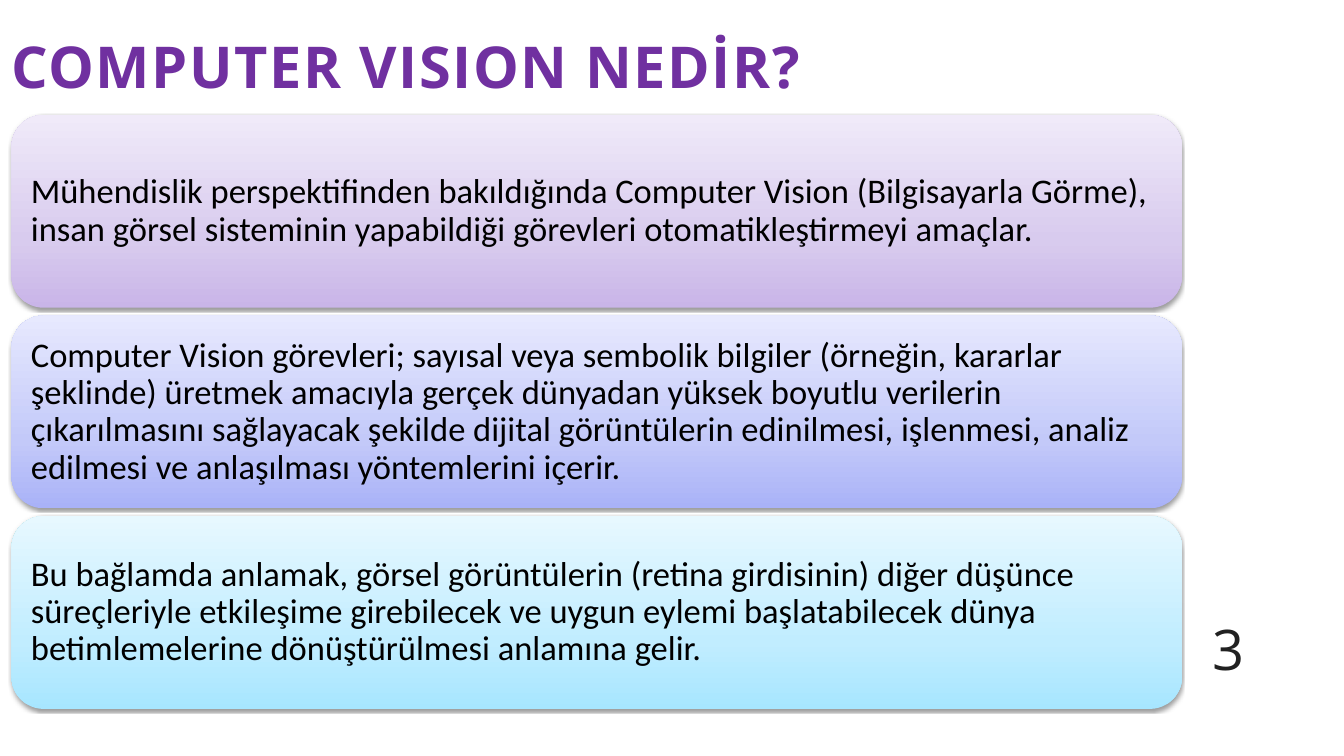
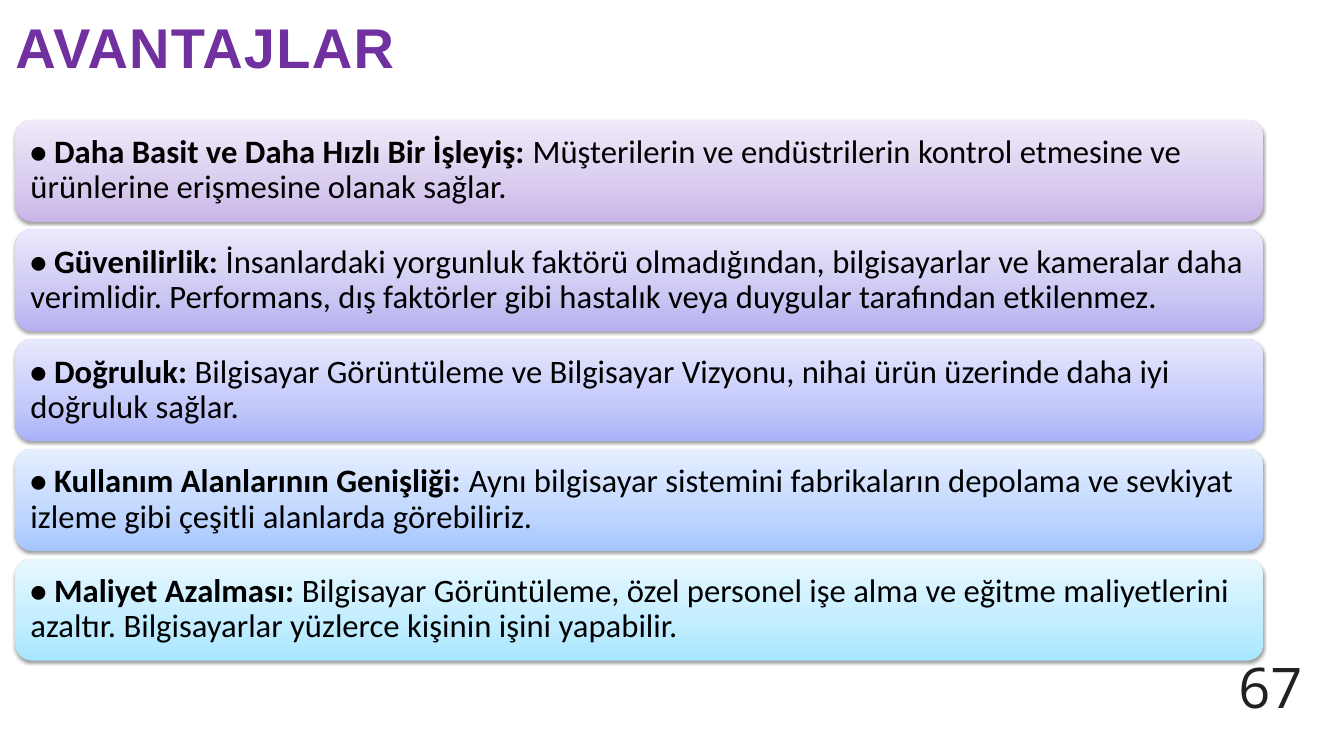
from lxml import etree
from pptx import Presentation
from pptx.dml.color import RGBColor
from pptx.enum import shapes, text
from pptx.oxml import parse_xml
from pptx.util import Inches, Pt

NS = 'xmlns:a="http://schemas.openxmlformats.org/drawingml/2006/main"'
LILAC = ("C9B5E8", "D8CBEE", "F0EAF9")
VIOLET = ("B6AFF0", "CBC7F3", "EBE9FB")
INDIGO = ("A9B2F8", "C3C9F9", "E7E9FE")
BLUE = ("A5C6FF", "BFD6FF", "E6EFFF")
CYAN = ("A7E6FF", "C1EDFF", "E7F8FF")
SHADOW = (f'<a:outerShdw {NS} blurRad="39370" dist="20320" dir="5400000" rotWithShape="0">'
          '<a:srgbClr val="000000"><a:alpha val="38000"/></a:srgbClr></a:outerShdw>')

PAGES = [
    dict(title="COMPUTER VISION NEDİR?", spot=(0.17, 0.29, 13.02, 1.14),
         font="Open Sans", size=61.8, lead=86.5, gap="170",
         left=0.17, top=1.71, wide=17.42, high=2.87, step=2.985, body=37,
         num="3", foot=(17.94, 9.48), cards=[
             (LILAC, "", "Mühendislik perspektifinden bakıldığında Computer Vision (Bilgisayarla Görme), "
              "insan görsel sisteminin yapabildiği görevleri otomatikleştirmeyi amaçlar."),
             (INDIGO, "", "Computer Vision görevleri; sayısal veya sembolik bilgiler (örneğin, kararlar "
              "şeklinde) üretmek amacıyla gerçek dünyadan yüksek boyutlu verilerin çıkarılmasını "
              "sağlayacak şekilde dijital görüntülerin edinilmesi, işlenmesi, analiz edilmesi ve "
              "anlaşılması yöntemlerini içerir."),
             (CYAN, "", "Bu bağlamda anlamak, görsel görüntülerin (retina girdisinin) diğer düşünce "
              "süreçleriyle etkileşime girebilecek ve uygun eylemi başlatabilecek dünya "
              "betimlemelerine dönüştürülmesi anlamına gelir."),
         ]),
    dict(title="AVANTAJLAR", spot=(0.23, 0.2, 17.95, 1.01),
         font="Arial", size=60, lead=71.5, gap="140",
         left=0.23, top=1.78, wide=18.57, high=1.52, step=1.633, body=35,
         num="67", foot=(18.33, 10.04), cards=[
             (LILAC, "• Daha Basit ve Daha Hızlı Bir İşleyiş:",
              " Müşterilerin ve endüstrilerin kontrol etmesine ve ürünlerine erişmesine olanak sağlar."),
             (VIOLET, "• Güvenilirlik:",
              " İnsanlardaki yorgunluk faktörü olmadığından, bilgisayarlar ve kameralar daha "
              "verimlidir. Performans, dış faktörler gibi hastalık veya duygular tarafından etkilenmez."),
             (INDIGO, "• Doğruluk:",
              " Bilgisayar Görüntüleme ve Bilgisayar Vizyonu, nihai ürün üzerinde daha iyi doğruluk sağlar."),
             (BLUE, "• Kullanım Alanlarının Genişliği:",
              " Aynı bilgisayar sistemini fabrikaların depolama ve sevkiyat izleme gibi çeşitli "
              "alanlarda görebiliriz."),
             (CYAN, "• Maliyet Azalması:",
              " Bilgisayar Görüntüleme, özel personel işe alma ve eğitme maliyetlerini azaltır. "
              "Bilgisayarlar yüzlerce kişinin işini yapabilir."),
         ]),
]


def style(para, font, size, color, lead):
    para.font.name = font
    para.font.size = Pt(size)
    para.font.color.rgb = RGBColor.from_string(color)
    para.line_spacing = lead
    para.alignment = text.PP_ALIGN.LEFT


def margin(frame, side, edge):
    frame.word_wrap = True
    frame.margin_left = frame.margin_right = Inches(side)
    frame.margin_top = frame.margin_bottom = Inches(edge)


deck = Presentation()
deck.slide_width = Inches(20)
deck.slide_height = Inches(11.25)

for page in PAGES:
    slide = deck.slides.add_slide(deck.slide_layouts[6])

    for row, (tones, head, note) in enumerate(page["cards"]):
        card = slide.shapes.add_shape(
            shapes.MSO_SHAPE.ROUNDED_RECTANGLE, Inches(page["left"]),
            Inches(page["top"] + row * page["step"]), Inches(page["wide"]), Inches(page["high"]))
        card.line.fill.background()
        card.shadow.inherit = False
        stops = "".join(f'<a:gs pos="{pos}"><a:srgbClr val="{tone}"/></a:gs>'
                        for pos, tone in zip((0, 35000, 100000), tones))
        props = card._element.spPr
        props.insert(2, parse_xml(f'<a:gradFill {NS} rotWithShape="1"><a:gsLst>{stops}</a:gsLst>'
                                  '<a:lin ang="16200000" scaled="0"/></a:gradFill>'))
        props[-1].append(etree.fromstring(SHADOW))
        frame = card.text_frame
        margin(frame, 0.15, 0.15)
        frame.vertical_anchor = text.MSO_ANCHOR.MIDDLE
        para = frame.paragraphs[0]
        style(para, "Calibri", page["body"], "000000", 0.9)
        for part, bold in ((head, True), (note, False)):
            if part:
                run = para.add_run()
                run.text = part
                run.font.bold = bold
                run.font.color.rgb = RGBColor.from_string("000000")

    title = slide.shapes.add_textbox(*map(Inches, page["spot"])).text_frame
    margin(title, 0, 0)
    para = title.paragraphs[0]
    para.text = page["title"]
    style(para, page["font"], page["size"], "7030A0", Pt(page["lead"]))
    para.font.bold = True
    para.runs[0]._r.get_or_add_rPr().set("spc", page["gap"])

    foot = slide.shapes.add_textbox(*map(Inches, (*page["foot"], 1.83, 0.79))).text_frame
    margin(foot, 0.1, 0.05)
    foot.paragraphs[0].text = page["num"]
    style(foot.paragraphs[0], "Open Sans", 60, "212121", Pt(44.8))

deck.save("out.pptx")
